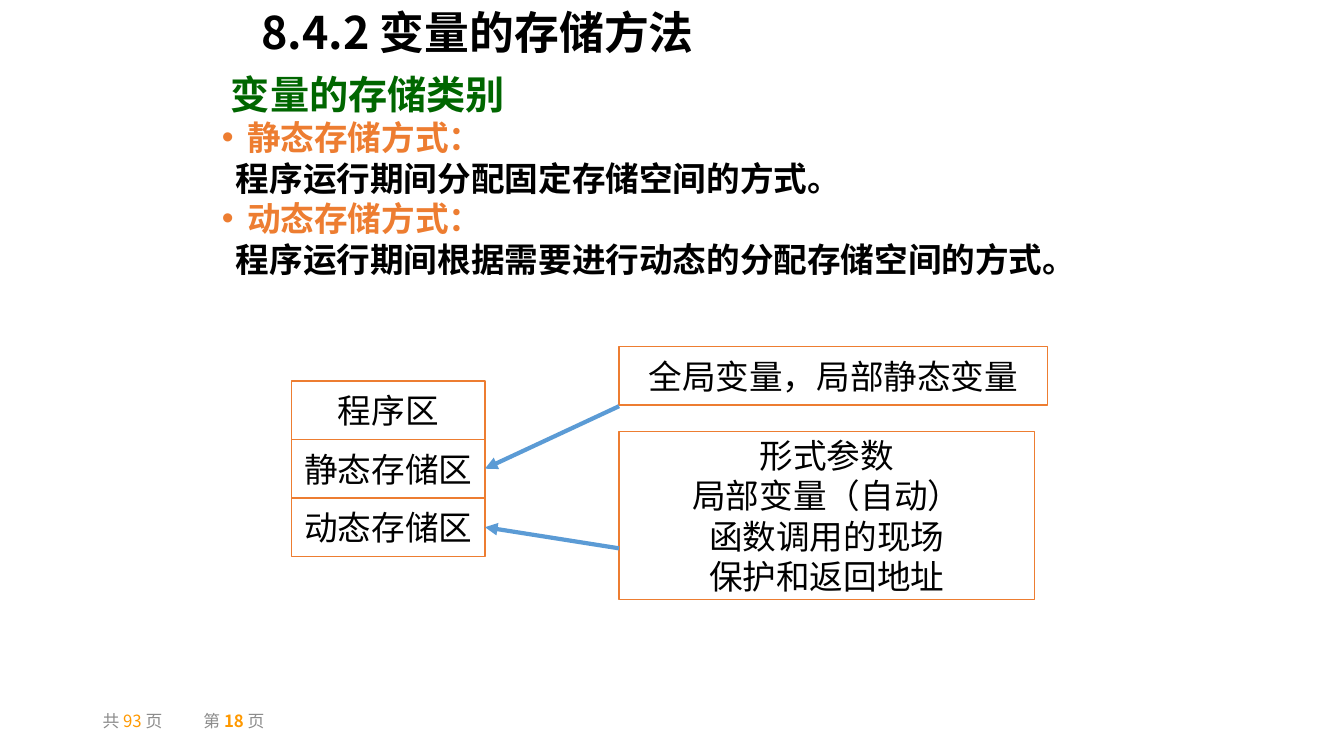
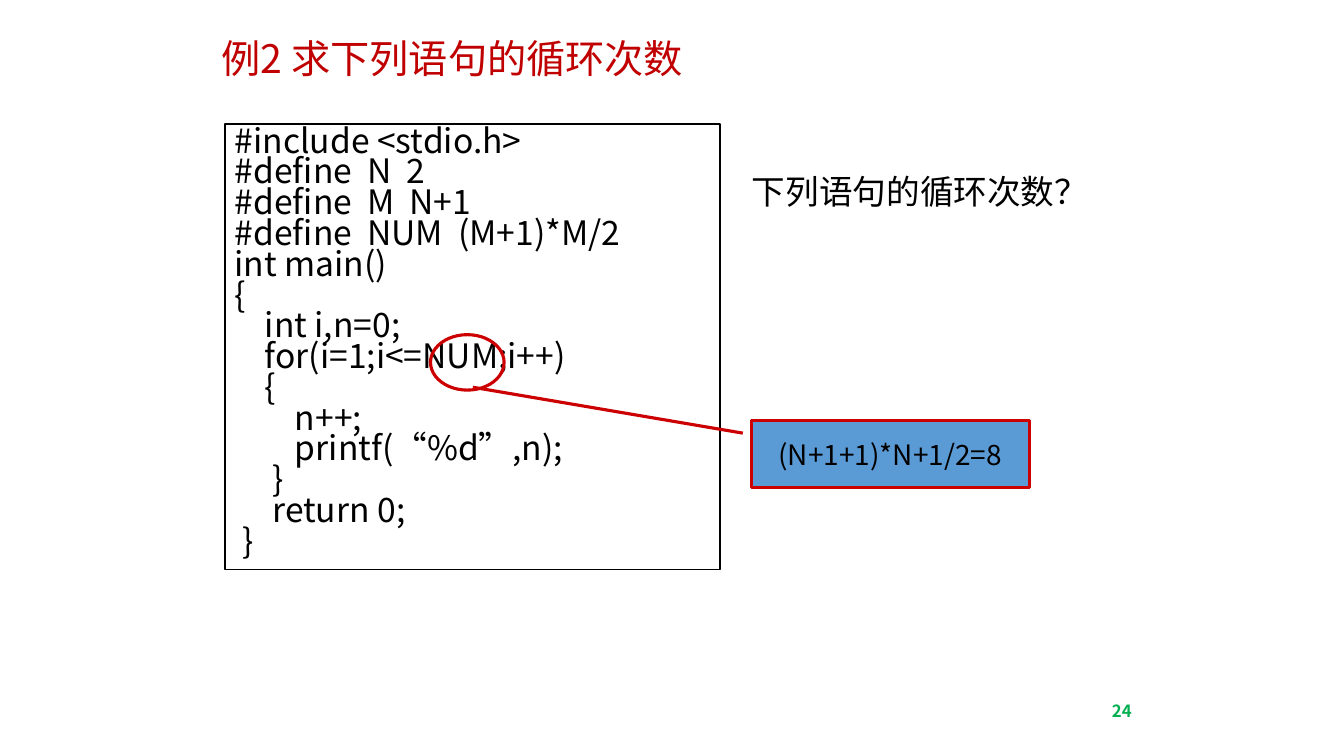
from dataclasses import dataclass

from lxml import etree
from pptx import Presentation
from pptx.dml.color import RGBColor
from pptx.enum import shapes, text
from pptx.oxml.ns import qn
from pptx.util import Inches, Pt


@dataclass(frozen=True)
class Theme:
    font: str = "Noto Sans CJK SC"
    black: str = "000000"
    grey: str = "8C8C8C"
    amber: str = "FF9900"
    green: str = "006600"
    page_green: str = "00B050"
    orange: str = "ED7D31"
    blue: str = "5B9BD5"
    red: str = "CC0000"
    title_red: str = "C00000"
    title: int = 32
    heading: int = 28
    body: int = 24
    callout: int = 20
    footer: int = 12


theme = Theme()
LEFT, CENTER = text.PP_ALIGN.LEFT, text.PP_ALIGN.CENTER
TOP, MIDDLE = text.MSO_ANCHOR.TOP, text.MSO_ANCHOR.MIDDLE


def write(shape, words, size=theme.body, color=theme.black, bold=False, align=LEFT,
          anchor=TOP, wrap=True, spacing=None, before=0, margin=0, hanging=0,
          bullet=None, tab=None, same_line=False):
    frame = shape.text_frame
    frame.auto_size = text.MSO_AUTO_SIZE.NONE
    frame.word_wrap = wrap
    frame.vertical_anchor = anchor
    paragraph = frame.paragraphs[-1]
    if not same_line:
        if paragraph.runs:
            paragraph = frame.add_paragraph()
        paragraph.alignment = align
        paragraph.line_spacing = spacing
        paragraph.space_before = Pt(before)
        props = paragraph._p.get_or_add_pPr()
        props.set("marL", str(Inches(margin)))
        props.set("indent", str(-Inches(hanging)))
        if bullet:
            etree.SubElement(props, qn("a:buChar")).set("char", bullet)
        else:
            etree.SubElement(props, qn("a:buNone"))
        if tab:
            stop = etree.SubElement(etree.SubElement(props, qn("a:tabLst")), qn("a:tab"))
            stop.set("pos", str(Inches(tab)))
            stop.set("algn", "l")
    run = paragraph.add_run()
    run.text = words
    run.font.size = Pt(size)
    run.font.bold = bold
    run.font.color.rgb = RGBColor.from_string(color)
    run.font.name = theme.font
    etree.SubElement(run._r.get_or_add_rPr(), qn("a:ea")).set("typeface", theme.font)


def outline(slide, kind, box, line, width=1, fill=None):
    shape = slide.shapes.add_shape(kind, *map(Inches, box))
    shape.shadow.inherit = False
    if fill:
        shape.fill.solid()
        shape.fill.fore_color.rgb = RGBColor.from_string(fill)
    else:
        shape.fill.background()
    shape.line.color.rgb = RGBColor.from_string(line)
    shape.line.width = Pt(width)
    return shape


RECT = shapes.MSO_SHAPE.RECTANGLE
deck = Presentation()
deck.slide_width, deck.slide_height = Inches(13.33), Inches(7.5)

storage = deck.slides.add_slide(deck.slide_layouts[1])
loops = deck.slides.add_slide(deck.slide_layouts[5])

headline = storage.shapes.title
categories = storage.placeholders[1]
example = loops.shapes.title
for holder, box in (
    (headline, (2.49, 0, 8.35, 0.64)),
    (categories, (2.1, 0.76, 9.37, 2.44)),
    (example, (2.1, 0.29, 6.06, 0.57)),
):
    holder.left, holder.top, holder.width, holder.height = map(Inches, box)

write(headline, "8.4.2 变量的存储方法", size=theme.title, bold=True)
write(categories, "变量的存储类别", size=theme.heading, color=theme.green, bold=True,
      spacing=0.73, margin=0.09)
for method, meaning in (
    ("静态存储方式：", "程序运行期间分配固定存储空间的方式。"),
    ("动态存储方式：", "程序运行期间根据需要进行动态的分配存储空间的方式。"),
):
    write(categories, method, color=theme.orange, bold=True, spacing=0.73, before=8,
          margin=0.25, hanging=0.25, bullet="•")
    write(categories, meaning, bold=True, spacing=0.73, before=8, margin=0.14)

areas = []
for row, area in enumerate(("程序区", "静态存储区", "动态存储区")):
    cell = outline(storage, RECT, (2.89, 3.78 + 0.58 * row, 1.92, 0.58), theme.orange)
    write(cell, area, align=CENTER, anchor=MIDDLE, wrap=False)
    areas.append(cell)

for box, contents, start_y, area in (
    ((6.14, 3.44, 4.25, 0.58), ("全局变量，局部静态变量",), 4.03, areas[1]),
    ((6.14, 4.28, 4.12, 1.67),
     ("形式参数", "局部变量（自动）", "函数调用的现场", "保护和返回地址"), 5.44, areas[2]),
):
    variables = outline(storage, RECT, box, theme.orange)
    for item in contents:
        write(variables, item, align=CENTER, anchor=MIDDLE, wrap=False)
    arrow = storage.shapes.add_connector(
        shapes.MSO_CONNECTOR.STRAIGHT, Inches(6.14), Inches(start_y),
        area.left + area.width, area.top + area.height // 2)
    arrow.end_connect(area, 3)
    arrow.line.color.rgb = RGBColor.from_string(theme.blue)
    arrow.line.width = Pt(3)
    etree.SubElement(arrow.line._get_or_add_ln(), qn("a:tailEnd")).set("type", "triangle")
    etree.SubElement(arrow._element.spPr, qn("a:effectLst"))

page_count = storage.shapes.add_textbox(*map(Inches, (0.92, 6.95, 3, 0.4)))
write(page_count, "共 ", size=theme.footer, color=theme.grey, anchor=MIDDLE, tab=0.79)
for words, color, bold in (
    ("93 ", theme.amber, False),
    ("页\t第 ", theme.grey, False),
    ("18 ", theme.amber, True),
    ("页", theme.grey, False),
):
    write(page_count, words, size=theme.footer, color=color, bold=bold, anchor=MIDDLE,
          same_line=True)

write(example, "例2 求下列语句的循环次数", size=theme.heading, color=theme.title_red)

program = """#include <stdio.h>
#define  N  2
#define  M  N+1
#define  NUM  (M+1)*M/2
int main()
{
    int i,n=0;
    for(i=1;i<=NUM;i++)
    {
        n++;
        printf(“%d”,n);
     }
     return 0;
 }"""
listing = outline(loops, RECT, (2.23, 1.23, 4.91, 4.42), theme.black)
for code_line in program.split("\n"):
    write(listing, code_line, spacing=Pt(22))

outline(loops, shapes.MSO_SHAPE.OVAL, (4.27, 3.32, 0.73, 0.55), theme.red, 2.25)
expansion = outline(loops, shapes.MSO_SHAPE.LINE_CALLOUT_1, (7.45, 4.17, 2.76, 0.67),
                    theme.red, 2.25, theme.blue)
for index, ratio in enumerate((0.19, -0.03, -0.49, -1)):
    expansion.adjustments[index] = ratio
write(expansion, "(N+1+1)*N+1/2=8", size=theme.callout, align=CENTER, anchor=MIDDLE)

question = loops.shapes.add_textbox(*map(Inches, (7.36, 1.65, 3.59, 0.5)))
write(question, "下列语句的循环次数？", wrap=False)
page_number = loops.shapes.add_textbox(*map(Inches, (10.93, 6.9, 0.62, 0.52)))
write(page_number, "24", size=theme.footer, color=theme.page_green, bold=True)

deck.save("out.pptx")
